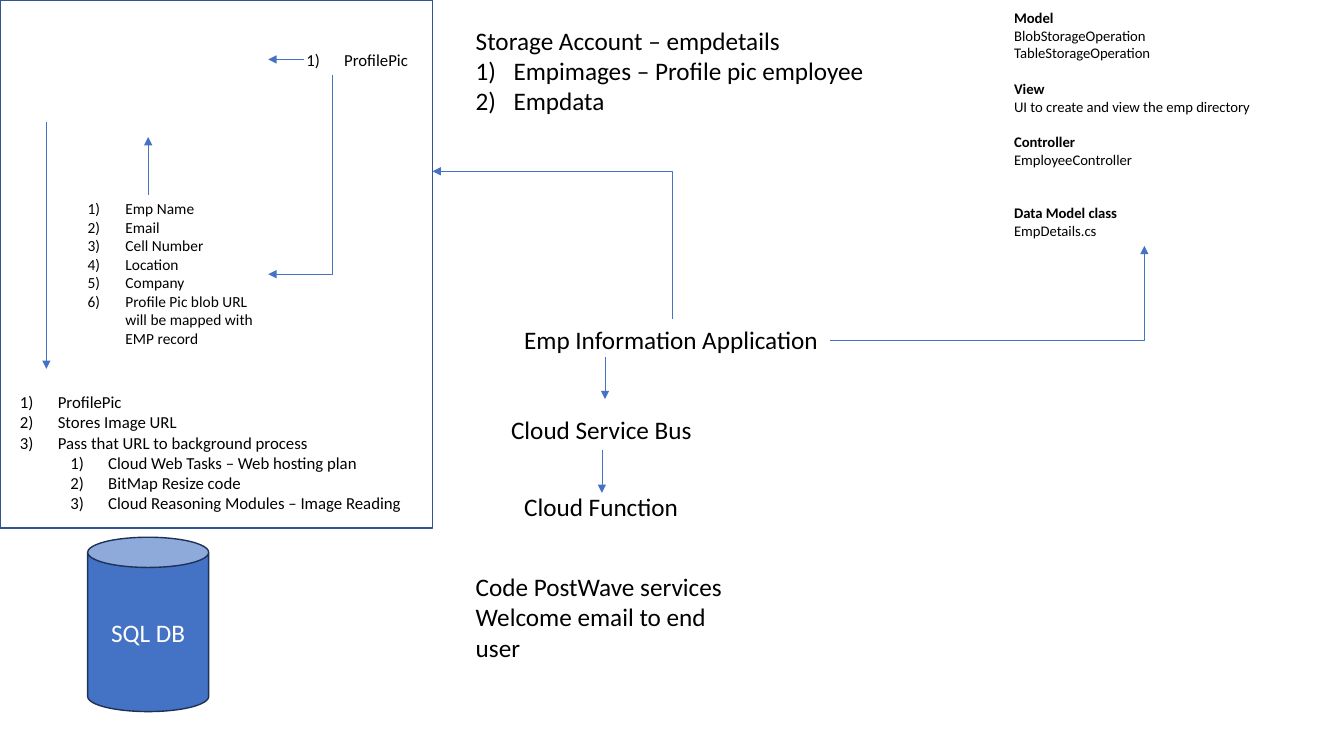
from dataclasses import dataclass

from lxml.etree import SubElement
from pptx import Presentation
from pptx.dml.color import RGBColor
from pptx.enum.shapes import MSO_CONNECTOR, MSO_SHAPE
from pptx.enum.text import MSO_ANCHOR, MSO_AUTO_SIZE, PP_ALIGN
from pptx.oxml.ns import qn
from pptx.util import Inches, Pt


@dataclass(frozen=True)
class Theme:
    font: str = "Calibri"
    ink: RGBColor = RGBColor(0, 0, 0)
    white: RGBColor = RGBColor(255, 255, 255)
    blue: RGBColor = RGBColor(0x44, 0x72, 0xC4)
    frame: RGBColor = RGBColor(0x32, 0x54, 0x91)
    navy: RGBColor = RGBColor(0x1E, 0x32, 0x56)
    heading: float = 18
    step: float = 12
    field: float = 11
    note: float = 10.5
    note_line: float = 12.8


THEME = Theme()


@dataclass(frozen=True)
class Line:
    text: str
    number_level: int | None = None  # None means no numbering
    bold: bool = False
    before: float = 0


@dataclass(frozen=True)
class Block:
    box: tuple[float, float, float, float]
    size: float
    lines: list[Line]
    wrap: bool = True


@dataclass(frozen=True)
class Arrow:
    start: tuple[float, float]
    end: tuple[float, float]
    bend: str = ""  # direction of the first leg: "across" or "upright"


def numbered(level: int, *texts: str) -> list[Line]:
    return [Line(text, level) for text in texts]


def section(title: str, *details: str, gap: int = 0) -> list[Line]:
    return [Line(title, bold=True, before=gap * THEME.note_line), *map(Line, details)]


BLOCKS = [
    Block((5.1, 3.17, 3.14, 0.4), THEME.heading, [Line("Emp Information Application")]),
    Block((0.27, 1.93, 2.39, 1.58), THEME.field, numbered(
        1, "Emp Name", "Email", "Cell Number", "Location", "Company",
        "Profile Pic blob URL will be mapped with EMP record")),
    Block((2.44, 0.44, 1.73, 0.3), THEME.step, numbered(1, "ProfilePic"), wrap=False),
    Block((9.96, 0.04, 2.78, 2.4), THEME.note, [
        *section("Model", "BlobStorageOperation", "TableStorageOperation"),
        *section("View", "UI to create and view the emp directory", gap=1),
        *section("Controller", "EmployeeController", gap=1),
        *section("Data Model class", "EmpDetails.cs", gap=2)]),
    Block((4.62, 0.2, 4.1, 1.01), THEME.heading, [
        Line("Storage Account – empdetails"),
        *numbered(0, "Empimages – Profile pic employee", "Empdata")], wrap=False),
    Block((-0.4, 3.84, 4.5, 1.31), THEME.step, [
        *numbered(1, "ProfilePic", "Stores Image URL", "Pass that URL to background process"),
        *numbered(2, "Cloud Web Tasks – Web hosting plan", "BitMap Resize code",
                  "Cloud Reasoning Modules – Image Reading")], wrap=False),
    Block((5.1, 4.83, 1.75, 0.4), THEME.heading, [Line("Cloud Function")], wrap=False),
    Block((4.97, 4.06, 2.01, 0.4), THEME.heading, [Line("Cloud Service Bus")], wrap=False),
    Block((4.62, 5.62, 2.75, 1.01), THEME.heading, [
        Line("Code PostWave services"), Line("Welcome email to end user")]),
]

ARROWS = [
    Arrow((1.47, 1.93), (1.47, 1.36)),
    Arrow((3.02, 0.59), (2.66, 0.59)),
    Arrow((3.3, 0.74), (2.66, 2.72), "upright"),
    Arrow((0.46, 1.21), (0.46, 3.66)),
    Arrow((6.67, 3.17), (4.29, 1.7), "upright"),
    Arrow((6, 3.54), (6, 3.96)),
    Arrow((5.97, 4.46), (5.97, 4.89)),
    Arrow((8.23, 3.38), (11.35, 2.44), "across"),
]


def add_run(paragraph, text: str, size: float, color: RGBColor, bold: bool = False) -> None:
    run = paragraph.add_run()
    run.text = text
    run.font.name = THEME.font
    run.font.size = Pt(size)
    run.font.bold = bold
    run.font.color.rgb = color


def number(paragraph, level: int) -> None:
    paragraph.level = level
    properties = paragraph._p.get_or_add_pPr()
    properties.set("marL", str(Inches(0.375 + 0.5 * level)))
    properties.set("indent", str(-Inches(0.375)))
    SubElement(properties, qn("a:buFont"), typeface="+mj-lt")
    SubElement(properties, qn("a:buAutoNum"), type="arabicParenR")


def draw_block(slide, block: Block) -> None:
    frame = slide.shapes.add_textbox(*map(Inches, block.box)).text_frame
    frame.word_wrap = block.wrap
    frame.auto_size = MSO_AUTO_SIZE.SHAPE_TO_FIT_TEXT
    for index, line in enumerate(block.lines):
        paragraph = frame.add_paragraph() if index else frame.paragraphs[0]
        if line.number_level is not None:
            number(paragraph, line.number_level)
        if line.before:
            paragraph.space_before = Pt(line.before)
        add_run(paragraph, line.text, block.size, THEME.ink, line.bold)


def draw_arrow(slide, arrow: Arrow) -> None:
    (x1, y1), (x2, y2) = arrow.start, arrow.end
    upward = y2 < y1
    if arrow.bend == "upright":
        # Lay the elbow on its side; the quarter turn below stands it up
        cx, cy = (x1 + x2) / 2, (y1 + y2) / 2
        half_w, half_h = abs(y2 - y1) / 2, abs(x2 - x1) / 2
        if upward == (x2 < x1):
            half_h = -half_h
        x1, y1, x2, y2 = cx - half_w, cy - half_h, cx + half_w, cy + half_h
    kind = MSO_CONNECTOR.ELBOW if arrow.bend else MSO_CONNECTOR.STRAIGHT
    connector = slide.shapes.add_connector(kind, *map(Inches, (x1, y1, x2, y2)))
    connector.line.color.rgb = THEME.blue
    connector.line.width = Pt(0.5)
    properties = connector._element.spPr
    if arrow.bend:
        properties.find(qn("a:prstGeom")).set("prst", "bentConnector2")
    if arrow.bend == "upright":
        properties.find(qn("a:xfrm")).set("rot", str((270 if upward else 90) * 60000))
    SubElement(properties.find(qn("a:ln")), qn("a:tailEnd"), type="triangle")
    SubElement(properties, qn("a:effectLst"))


def draw_shape(slide, kind: MSO_SHAPE, box: tuple[float, float, float, float],
               outline: RGBColor, fill: RGBColor | None = None):
    shape = slide.shapes.add_shape(kind, *map(Inches, box))
    shape.shadow.inherit = False
    if fill is None:
        shape.fill.background()
    else:
        shape.fill.solid()
        shape.fill.fore_color.rgb = fill
    shape.line.color.rgb = outline
    shape.line.width = Pt(1)
    return shape


def main() -> None:
    deck = Presentation()
    deck.slide_width, deck.slide_height = Inches(13.33), Inches(7.5)
    slide = deck.slides.add_slide(deck.slide_layouts[6])

    # Storage frame
    draw_shape(slide, MSO_SHAPE.RECTANGLE, (0, 0, 4.29, 5.24), THEME.frame)

    # Texts and the flow between them
    for block in BLOCKS:
        draw_block(slide, block)
    for arrow in ARROWS:
        draw_arrow(slide, arrow)

    # Database
    database = draw_shape(slide, MSO_SHAPE.CAN, (0.87, 5.33, 1.2, 1.73), THEME.navy, THEME.blue)
    database.text_frame.vertical_anchor = MSO_ANCHOR.MIDDLE
    label = database.text_frame.paragraphs[0]
    label.alignment = PP_ALIGN.CENTER
    add_run(label, "SQL DB", THEME.heading, THEME.white)

    deck.save("out.pptx")


if __name__ == "__main__":
    main()
